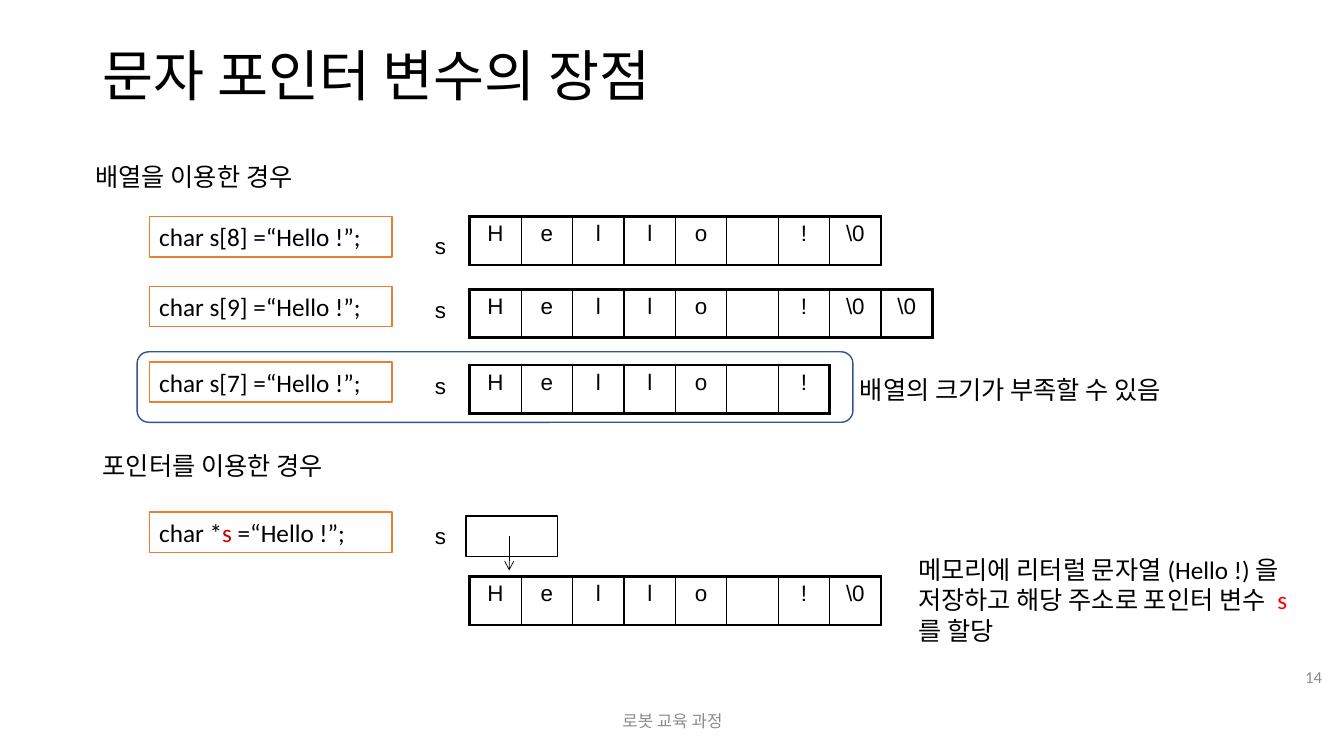
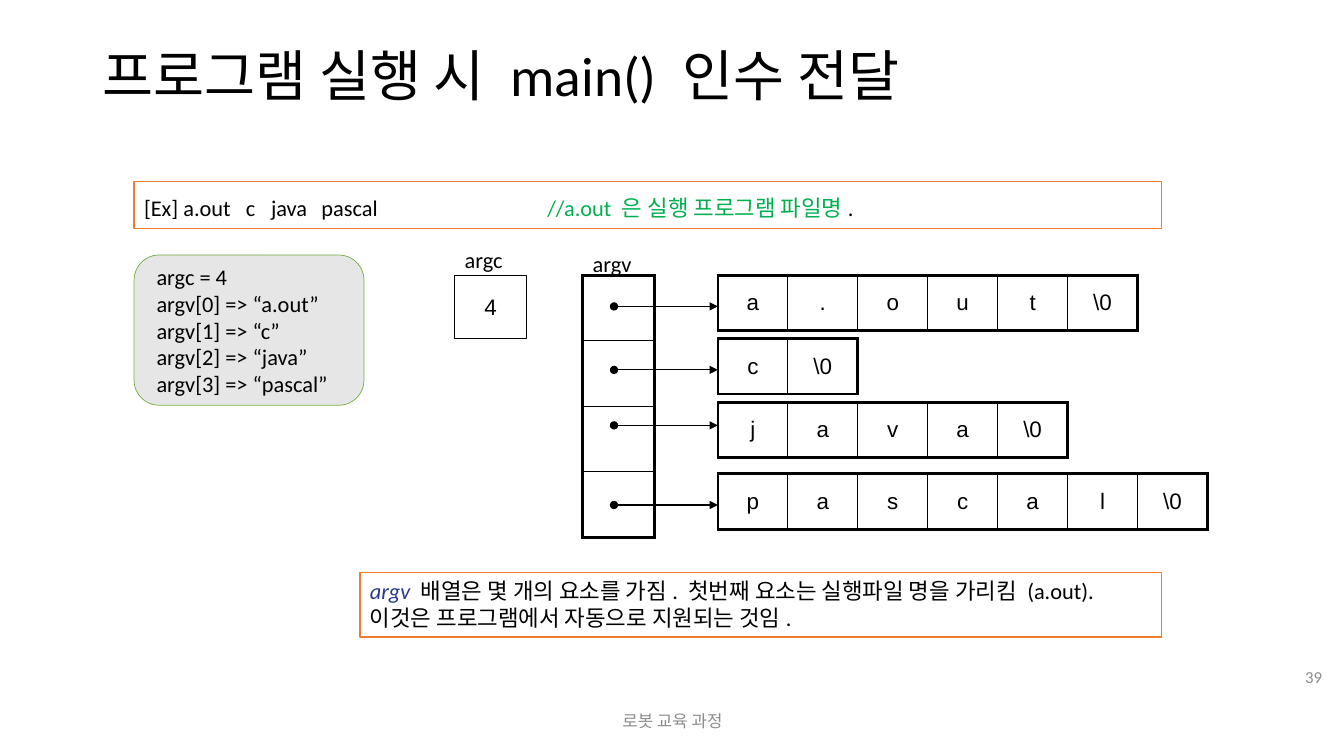
from lxml import etree
from pptx import Presentation
from pptx import util as u
from pptx.dml.color import RGBColor
from pptx.enum import shapes, text
from pptx.oxml import ns

BLACK = RGBColor(0x00, 0x00, 0x00)
WHITE = RGBColor(0xFF, 0xFF, 0xFF)
GRAY = RGBColor(0x8C, 0x8C, 0x8C)
PALE = RGBColor(0xE7, 0xE6, 0xE6)
ORANGE = RGBColor(0xED, 0x7D, 0x31)
BLUE = RGBColor(0x32, 0x54, 0x91)
INDIGO = RGBColor(0x2A, 0x39, 0x90)
LEAF = RGBColor(0x70, 0xAD, 0x47)
GREEN = RGBColor(0x00, 0xB0, 0x50)
DARK_RED = RGBColor(0xC0, 0x00, 0x00)
RED = RGBColor(0xFF, 0x00, 0x00)

BODY_FONT = "Calibri"
CELL_FONT = "Arial"
END = "\\0"
HELLO = list("Hello !")
LEFT, CENTER, RIGHT = text.PP_ALIGN.LEFT, text.PP_ALIGN.CENTER, text.PP_ALIGN.RIGHT
TOP, MIDDLE = text.MSO_ANCHOR.TOP, text.MSO_ANCHOR.MIDDLE
RECT = shapes.MSO_SHAPE.RECTANGLE
ROUNDED = shapes.MSO_SHAPE.ROUNDED_RECTANGLE


def inches(values):
    """Convert a sequence of numbers to lengths."""
    return [u.Inches(value) for value in values]


def write(frame, lines, size=18, font=BODY_FONT, color=BLACK, align=LEFT,
          anchor=TOP, spacing=None, tabs=()):
    """Fill a frame; a line is a string or a list of (text, color, italic) runs."""
    frame.word_wrap = True
    frame.vertical_anchor = anchor
    for index, line in enumerate([lines] if isinstance(lines, str) else lines):
        paragraph = frame.add_paragraph() if index else frame.paragraphs[0]
        if tabs:
            stops = etree.SubElement(paragraph._p.get_or_add_pPr(), ns.qn("a:tabLst"))
            for stop in tabs:
                etree.SubElement(stops, ns.qn("a:tab"), pos=str(u.Inches(stop)), algn="l")
        paragraph.alignment = align
        if spacing:
            paragraph.line_spacing = spacing
        paragraph.font.size = u.Pt(size)
        for words, tint, italic in [(line, color, False)] if isinstance(line, str) else line:
            run = paragraph.add_run()
            run.text = words
            run.font.name = font
            run.font.size = u.Pt(size)
            run.font.color.rgb = tint
            run.font.italic = italic


def label(slide, box, lines, **style):
    """Add a plain text box."""
    write(slide.shapes.add_textbox(*inches(box)).text_frame, lines, **style)


def panel(slide, box, lines=None, kind=RECT, fill=WHITE, line=ORANGE, width=1, inset=0.1,
          **style):
    """Add an outlined shape, with text if any is given."""
    shape = slide.shapes.add_shape(kind, *inches(box))
    shape.shadow.inherit = False
    if fill is None:
        shape.fill.background()
    else:
        shape.fill.solid()
        shape.fill.fore_color.rgb = fill
    shape.line.color.rgb = line
    shape.line.width = u.Pt(width)
    if lines:
        shape.text_frame.margin_left = u.Inches(inset)
        write(shape.text_frame, lines, **style)


def arrow(slide, start, end, width, tail, head=None):
    """Draw a straight arrow from start to end."""
    connector = slide.shapes.add_connector(
        shapes.MSO_CONNECTOR.STRAIGHT, *inches(start + end))
    connector.line.color.rgb = BLACK
    connector.line.width = u.Pt(width)
    properties = connector.element.spPr
    outline = properties.find(ns.qn("a:ln"))
    if head:
        etree.SubElement(outline, ns.qn("a:headEnd"), type=head)
    etree.SubElement(outline, ns.qn("a:tailEnd"), type=tail)
    etree.SubElement(properties, ns.qn("a:effectLst"))


def cell_borders(cell, outer):
    """Draw the four borders of a cell, thick on the sides named in outer."""
    properties = cell._tc.get_or_add_tcPr()
    for side in "LRTB":
        points = 2.25 if side in outer else 1
        border = etree.SubElement(properties, ns.qn(f"a:ln{side}"), w=str(u.Pt(points)))
        fill = etree.SubElement(border, ns.qn("a:solidFill"))
        etree.SubElement(fill, ns.qn("a:srgbClr"), val=str(BLACK))


def memory(slide, box, rows, anchor=TOP):
    """Draw memory cells as a table with a thick frame."""
    row_count, column_count = len(rows), len(rows[0])
    table = slide.shapes.add_table(row_count, column_count, *inches(box)).table
    table.first_row = table.horz_banding = False
    for column in table.columns:
        column.width = u.Inches(box[2] / column_count)
    for r, row in enumerate(rows):
        table.rows[r].height = u.Inches(box[3] / row_count)
        for c, letter in enumerate(row):
            cell = table.cell(r, c)
            edges = {"L": c == 0, "R": c == column_count - 1,
                     "T": r == 0, "B": r == row_count - 1}
            cell_borders(cell, [side for side, outer in edges.items() if outer])
            cell.fill.background()
            if letter.strip():
                write(cell.text_frame, letter, size=16, font=CELL_FONT, align=CENTER)
            cell.vertical_anchor = anchor


def titled_slide(deck, title, number):
    """Add a slide with the shared title, footer and page number."""
    slide = deck.slides.add_slide(deck.slide_layouts[5])
    heading = slide.shapes.title
    heading.left, heading.top, heading.width, heading.height = inches((0.92, 0.4, 11.5, 0.75))
    heading.text_frame.auto_size = text.MSO_AUTO_SIZE.NONE
    write(heading.text_frame, title, size=39.6, anchor=MIDDLE, spacing=0.9)
    small = dict(size=12, color=GRAY, anchor=MIDDLE)
    label(slide, (4.42, 6.95, 4.5, 0.4), "로봇 교육 과정", align=CENTER, **small)
    label(slide, (12.59, 6.51, 0.62, 0.4), str(number), align=RIGHT, **small)
    return slide


def declaration(slide, left, top, code, letters, label_drop=0.1, cells_drop=0.03):
    """Place a declaration, its variable name and its memory cells."""
    panel(slide, (left, top, 2.41, 0.4), code)
    label(slide, (left + 2.22, top + label_drop, 1.34, 0.32), "s", size=16,
          font=CELL_FONT, align=CENTER, spacing=0.8)
    memory(slide, (left + 3.18, top + cells_drop, 0.51 * len(letters), 0.48), [letters])


def pointer_slide(deck):
    """Compare a character array with a character pointer."""
    slide = titled_slide(deck, "문자 포인터 변수의 장점", 14)
    label(slide, (0.85, 1.55, 3.23, 0.4), "배열을 이용한 경우")
    declaration(slide, 1.48, 2.15, "char s[8] =“Hello !”;", HELLO + [END], 0.16, 0)
    declaration(slide, 1.48, 2.84, "char s[9] =“Hello !”;", HELLO + [END, END])
    declaration(slide, 1.48, 3.59, "char s[7] =“Hello !”;", HELLO)
    panel(slide, (1.36, 3.49, 7.1, 0.7), kind=ROUNDED, fill=None, line=BLUE)
    label(slide, (8.43, 3.66, 3.58, 0.4), "배열의 크기가 부족할 수 있음")

    label(slide, (0.92, 4.42, 3.23, 0.4), "포인터를 이용한 경우")
    code = [[("char *", BLACK, False), ("s", DARK_RED, False),
             (" =“Hello !”;", BLACK, False)]]
    declaration(slide, 1.48, 5.08, code, HELLO + [END], cells_drop=0.64)
    panel(slide, (4.62, 5.12, 0.91, 0.4), line=BLACK)
    arrow(slide, (5.05, 5.32), (5.05, 5.66), 0.5, "arrow")
    label(slide, (9.01, 5.45, 3.98, 1.01), [[
        ("메모리에 리터럴 문자열(Hello !)을 저장하고 해당 주소로 포인터 변수 ", BLACK, False),
        ("s", RED, False), ("를 할당", BLACK, False)]])


def argument_vector(slide, left, top):
    """Draw argv and the strings its elements point to."""
    label(slide, (left, top - 0.3, 1.1, 0.37), "argv", size=16)
    memory(slide, (left, top, 0.71, 2.6), [[""]] * 4)
    strings_left = left + 1.34
    for word, drop, arrow_drop in (("a.out", 0, 0.31), ("c", 0.63, 0.94),
                                   ("java", 1.26, 1.49), ("pascal", 1.97, 2.28)):
        letters = list(word) + [END]
        memory(slide, (strings_left, top + drop, 0.694 * len(letters), 0.55),
               [letters], anchor=MIDDLE)
        arrow(slide, (left + 0.31, top + arrow_drop), (strings_left, top + arrow_drop),
              0.75, "triangle", head="oval")


def arguments_slide(deck):
    """Show how command-line arguments reach main()."""
    slide = titled_slide(deck, "프로그램 실행 시 main() 인수 전달", 39)
    panel(slide, (1.33, 1.8, 10.19, 0.47), [[
        ("[Ex] a.out\tc\tjava\tpascal\t", BLACK, False),
        ("//a.out 은 실행 프로그램 파일명", GREEN, False), (".", BLACK, False)]],
        size=16, anchor=MIDDLE, spacing=1.2, tabs=(1.01, 1.26, 1.76, 4))
    values = [f"argv[{i}] => “{word}”"
              for i, word in enumerate(("a.out", "c", "java", "pascal"))]
    panel(slide, (1.33, 2.53, 2.28, 1.49), ["argc = 4"] + values, kind=ROUNDED,
          fill=PALE, line=LEAF, width=0.5, inset=0.15, size=16, anchor=MIDDLE)
    label(slide, (4.51, 2.39, 0.71, 0.37), "argc", size=16)
    panel(slide, (4.51, 2.73, 0.71, 0.63), "4", line=BLACK, width=0.75, size=16,
          font=CELL_FONT, align=CENTER, anchor=MIDDLE)
    argument_vector(slide, 5.78, 2.73)
    panel(slide, (3.57, 5.68, 7.95, 0.64), [[
        ("argv ", INDIGO, True),
        ("배열은 몇 개의 요소를 가짐. 첫번째 요소는 실행파일 명을 가리킴 (a.out). "
         "이것은 프로그램에서 자동으로 지원되는 것임.", BLACK, False)]], size=16)


def main():
    """Build and save the deck."""
    deck = Presentation()
    deck.slide_width, deck.slide_height = inches((13.33, 7.5))
    pointer_slide(deck)
    arguments_slide(deck)
    deck.save("out.pptx")


if __name__ == "__main__":
    main()
